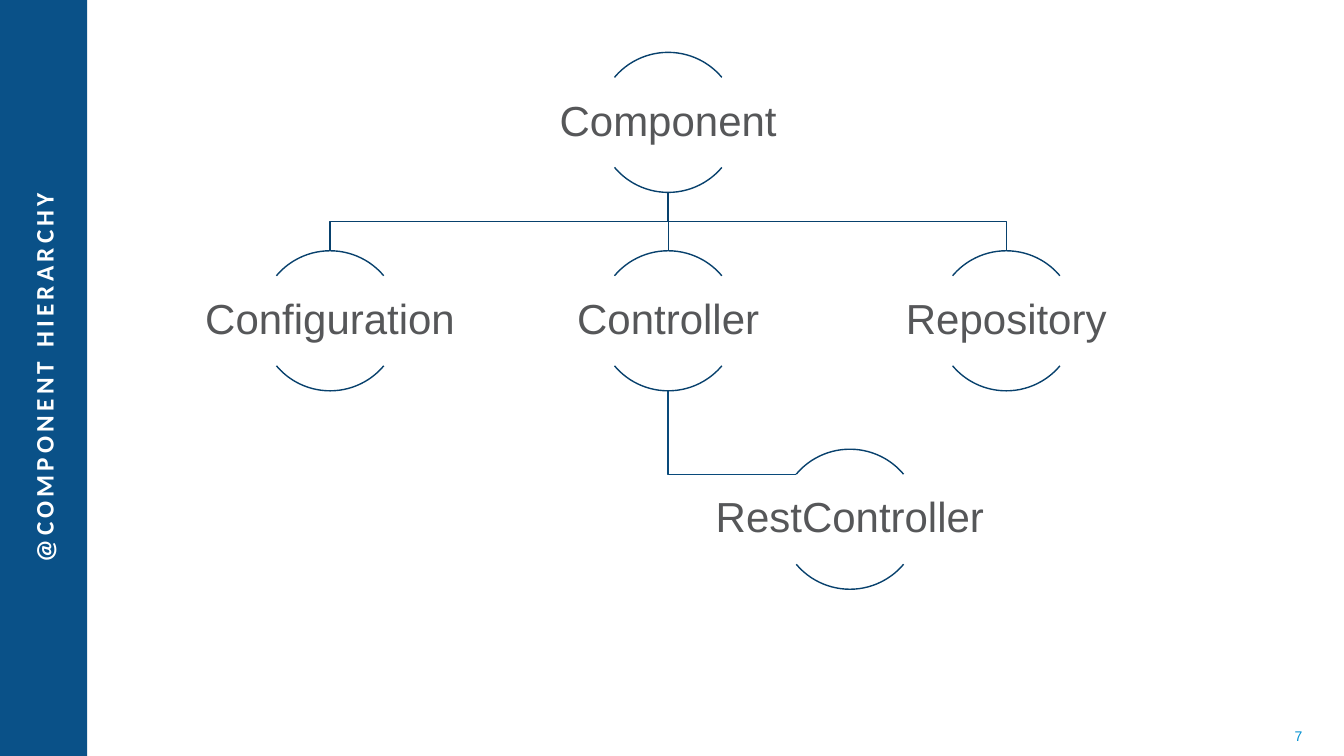
from dataclasses import dataclass
from math import cos, radians, sin

from pptx import Presentation
from pptx.dml.color import RGBColor as RGB
from pptx.enum.shapes import MSO_CONNECTOR as CONN, MSO_SHAPE as SHAPE
from pptx.enum.text import MSO_ANCHOR as ANCHOR, MSO_AUTO_SIZE as AUTO, PP_ALIGN as ALIGN
from pptx.oxml.ns import qn
from pptx.util import Cm, Pt


@dataclass(frozen=True)
class Theme:
    bar: str = "0A5188"
    line: str = "08416D"
    sub_line: str = "094A7B"
    text: str = "565759"
    number: str = "008FD0"
    white: str = "FFFFFF"
    body_font: str = "Arial"
    title_font: str = "Calibri"
    title_size: int = 18
    label_size: int = 30
    number_size: int = 10
    line_width: int = 1


def write(tf, text, font, size, color, align=ALIGN.CENTER, bold=False,
          spacing=None, tracking=None, inset=None):
    tf.word_wrap = True
    tf.auto_size = AUTO.NONE
    tf.vertical_anchor = ANCHOR.MIDDLE
    if inset is not None:
        tf.margin_left = tf.margin_right = tf.margin_top = tf.margin_bottom = Cm(inset)
    p = tf.paragraphs[0]
    p.alignment = align
    if spacing:
        p.line_spacing = spacing
    r = p.add_run()
    r.text = text
    r.font.name, r.font.size, r.font.bold = font, Pt(size), bold
    r.font.color.rgb = RGB.from_string(color)
    if tracking:
        r.font._element.set("spc", str(tracking * 100))


class Builder:
    def __init__(self, slide, theme):
        self.s, self.t = slide, theme

    def stroke(self, sp, color):
        sp.line.color.rgb = RGB.from_string(color)
        sp.line.width = Pt(self.t.line_width)

    def outline(self, sp, color):
        sp.shadow.inherit = False
        sp.fill.background()
        self.stroke(sp, color)

    def title(self, text, x, y, w, h):
        sp = self.s.shapes.title
        sp.left, sp.top, sp.width, sp.height = map(Cm, (x, y, w, h))
        sp.rotation = 270
        write(sp.text_frame, text, self.t.title_font, self.t.title_size,
              self.t.white, bold=True, tracking=3)

    def side_bar(self, w, h):
        sp = self.s.shapes.add_shape(SHAPE.RECTANGLE, 0, 0, Cm(w), Cm(h))
        sp.shadow.inherit = False
        sp.fill.solid()
        sp.fill.fore_color.rgb = RGB.from_string(self.t.bar)
        sp.line.fill.background()
        self.s.shapes.title.element.addprevious(sp.element)

    def text(self, text, x, y, w, h, **fmt):
        sp = self.s.shapes.add_textbox(Cm(x), Cm(y), Cm(w), Cm(h))
        write(sp.text_frame, text, self.t.body_font, **fmt)

    def arc(self, x, y, size, start, end):
        sp = self.s.shapes.add_shape(SHAPE.ARC, Cm(x), Cm(y), Cm(size), Cm(size))
        sp.adjustments[0], sp.adjustments[1] = start * 0.6, end * 0.6
        self.outline(sp, self.t.line)

    def straight(self, start, end):
        cn = self.s.shapes.add_connector(CONN.STRAIGHT, *map(Cm, start + end))
        self.stroke(cn, self.t.line)
        cn._element.spPr.append(cn._element.makeelement(qn("a:effectLst"), {}))

    def elbow(self, points, color):
        first, *rest = [(Cm(x), Cm(y)) for x, y in points]
        fb = self.s.shapes.build_freeform(*first)
        fb.add_line_segments(rest, close=False)
        self.outline(fb.convert_to_shape(), color)

    def node(self, text, cx, top):
        for start, end in ((220, 320), (40, 140)):
            self.arc(cx - DIAMETER / 2, top, DIAMETER, start, end)
        self.text(text, cx - LABEL_W / 2, top + (DIAMETER - LABEL_H) / 2,
                  LABEL_W, LABEL_H, size=self.t.label_size,
                  color=self.t.text, spacing=0.9, inset=0.05)


DIAMETER, LABEL_W, LABEL_H = 3.53, 7.04, 2.26
CENTER, COLUMN_STEP = 16.84, 8.52
ROWS = [1.32 + 5 * i for i in range(3)]
REST_X = 21.42

theme = Theme()
prs = Presentation()
prs.slide_width, prs.slide_height = Cm(33.87), Cm(19.05)
s = prs.slides.add_slide(prs.slide_layouts[5])
b = Builder(s, theme)

b.title("@COMPONENT HIERARCHY", -8.66, 9.12, 19.51, 0.81)
b.side_bar(2.2, 19.05)
b.text("7", 25.17, 18.03, 7.9, 1.02, size=theme.number_size,
       color=theme.number, align=ALIGN.RIGHT)

parent_bottom = ROWS[0] + DIAMETER
bus = (parent_bottom + ROWS[1]) / 2
children = {name: CENTER + i * COLUMN_STEP for i, name in
            enumerate(("Configuration", "Controller", "Repository"), -1)}
for x in children.values():
    if x == CENTER:
        b.straight((CENTER, parent_bottom), (x, ROWS[1]))
    else:
        b.elbow([(CENTER, parent_bottom), (CENTER, bus), (x, bus), (x, ROWS[1])],
                theme.line)

radius, half_angle = DIAMETER / 2, radians(50)
arc_x = REST_X - radius * sin(half_angle)
arc_y = ROWS[2] + radius * (1 - cos(half_angle))
b.elbow([(CENTER, ROWS[1] + DIAMETER), (CENTER, arc_y), (arc_x, arc_y)],
        theme.sub_line)

b.node("Component", CENTER, ROWS[0])
for name, x in children.items():
    b.node(name, x, ROWS[1])
b.node("RestController", REST_X, ROWS[2])

prs.save("out.pptx")
